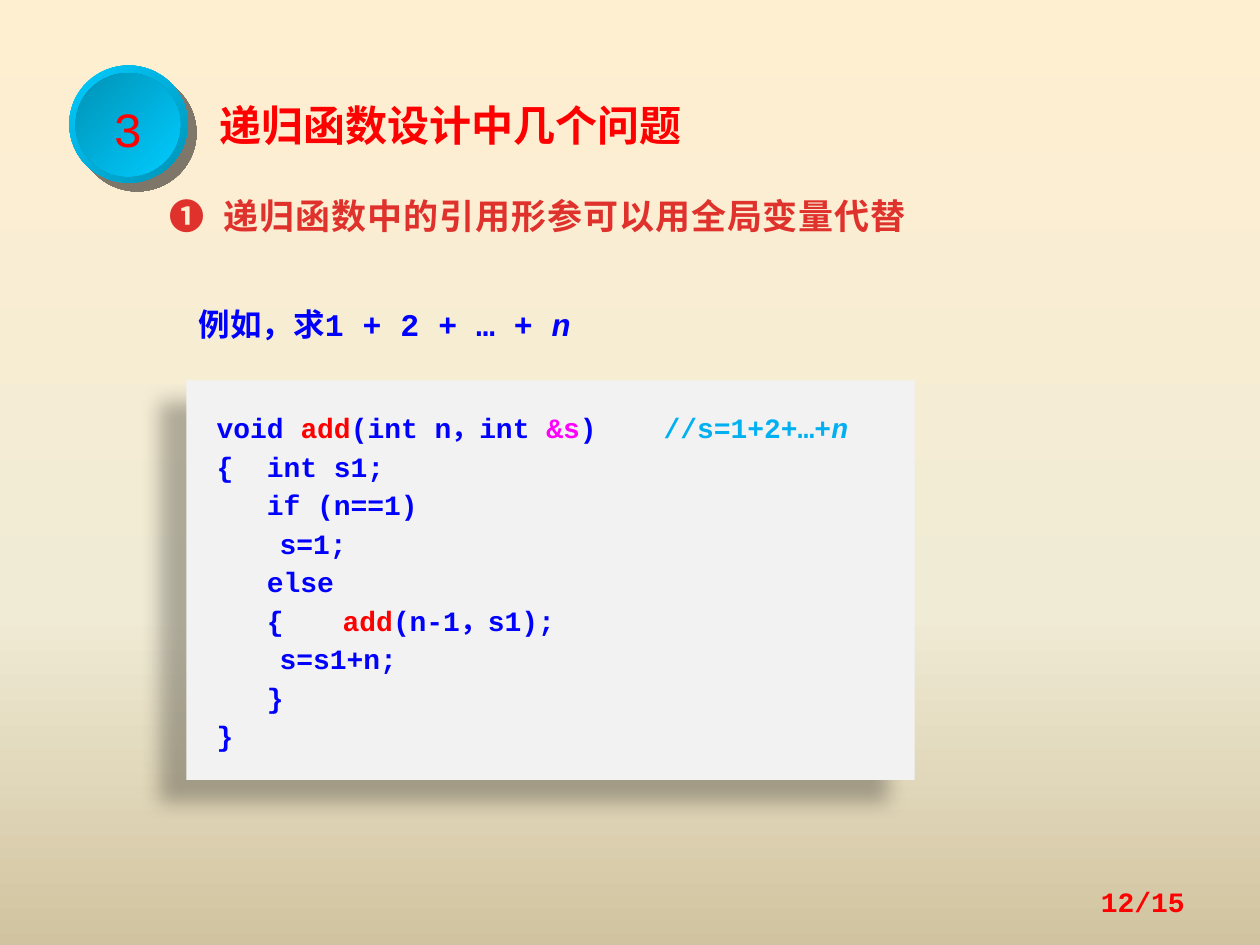
from lxml.etree import SubElement
from pptx import Presentation
from pptx.dml.color import RGBColor
from pptx.enum.shapes import MSO_SHAPE
from pptx.enum.text import MSO_ANCHOR, PP_ALIGN
from pptx.oxml.ns import qn
from pptx.util import Inches, Pt

FONT = "Courier New"
RED, BLUE, MAGENTA, CYAN = "FF0000", "0000FF", "FF00FF", "00B0F0"
LIGHT, DARK = "00CCFF", "0092B6"

CODE = [
    [("void ",), ("add", RED), ("(int n，int ",), ("&s", MAGENTA), (")    ",),
     ("//s=1+2+…+", CYAN), ("n", CYAN, True)],
    [("{  int s1;",)],
    [("   if (n==1)",)],
    [("\ts=1;",)],
    [("   else",)],
    [("   {\t",), ("add", RED), ("(n-1，s1);",)],
    [("\ts=s1+n;",)],
    [("   }",)],
    [("}",)],
]


def color(value):
    return RGBColor.from_string(value)


def set_gradient(fill, element, stops, angle):
    fill.gradient()
    fill.gradient_angle = 360 - angle
    stop_list = element.find(".//" + qn("a:gsLst"))
    for stop in list(stop_list):
        stop_list.remove(stop)
    for position, value in stops:
        stop = SubElement(stop_list, qn("a:gs"), pos=str(position * 1000))
        SubElement(stop, qn("a:srgbClr"), val=value)


def add_shadow(shape, value, alpha, blur, distance, angle):
    effects = shape._element.spPr.find(qn("a:effectLst"))
    shadow = SubElement(
        effects, qn("a:outerShdw"), blurRad=str(Pt(blur)), dist=str(Pt(distance)),
        dir=str(angle * 60000), algn="ctr", rotWithShape="0")
    shadow_color = SubElement(shadow, qn("a:srgbClr"), val=value)
    SubElement(shadow_color, qn("a:alpha"), val=str(alpha * 1000))


def add_plain_shape(slide, kind, left, top, width, height):
    shape = slide.shapes.add_shape(
        kind, Inches(left), Inches(top), Inches(width), Inches(height))
    shape.shadow.inherit = False
    shape.line.fill.background()
    return shape


def write_paragraph(paragraph, runs, size, value, bold=True, spacing=1.1,
                    align=PP_ALIGN.LEFT):
    paragraph.alignment = align
    paragraph.line_spacing = spacing
    font = paragraph.font
    font.name, font.size, font.bold = FONT, Pt(size), bold
    font.color.rgb = color(value)
    for text, run_color, italic in (run + (None, None)[len(run) - 1:] for run in runs):
        run = paragraph.add_run()
        run.text = text
        if run_color or value != RED:
            run.font.color.rgb = color(run_color or value)
        if italic:
            run.font.italic = True


def add_text(slide, left, top, width, height, runs, size, value, **options):
    box = slide.shapes.add_textbox(
        Inches(left), Inches(top), Inches(width), Inches(height))
    box.text_frame.word_wrap = True
    write_paragraph(box.text_frame.paragraphs[0], runs, size, value, **options)
    return box


def add_number_badge(slide):
    rim = add_plain_shape(slide, MSO_SHAPE.OVAL, 0.55, 0.52, 0.94, 0.93)
    set_gradient(rim.fill, rim._element.spPr, [(0, LIGHT), (100, DARK)], 45)
    add_shadow(rim, "020202", 50, 0, 7.1, 45)
    face = add_plain_shape(slide, MSO_SHAPE.OVAL, 0.6, 0.58, 0.83, 0.82)
    set_gradient(face.fill, face._element.spPr, [(0, DARK), (100, LIGHT)], 45)
    frame = face.text_frame
    frame.word_wrap = False
    frame.vertical_anchor = MSO_ANCHOR.MIDDLE
    write_paragraph(frame.paragraphs[0], [("3", RED)], 28, RED, bold=False,
                    align=PP_ALIGN.CENTER)


def add_code_panel(slide):
    panel = add_plain_shape(slide, MSO_SHAPE.RECTANGLE, 1.48, 3.02, 5.78, 3.17)
    panel.fill.solid()
    panel.fill.fore_color.rgb = color("F2F2F2")
    add_shadow(panel, "000000", 28, 11.8, 19.7, 141)
    frame = panel.text_frame
    frame.word_wrap = True
    frame.vertical_anchor = MSO_ANCHOR.TOP
    frame.margin_left = Inches(0.24)
    frame.margin_top = frame.margin_bottom = Inches(0.2)
    for index, runs in enumerate(CODE):
        paragraph = frame.add_paragraph() if index else frame.paragraphs[0]
        write_paragraph(paragraph, runs, 16, BLUE, spacing=Pt(22))


def main():
    presentation = Presentation()
    presentation.slide_width = Inches(10)
    presentation.slide_height = Inches(7.5)
    slide = presentation.slides.add_slide(presentation.slide_layouts[6])
    set_gradient(slide.background.fill, slide._element,
                 [(0, "FFEFD1"), (65, "F0EBD5"), (100, "D1C39F")], 90)
    add_number_badge(slide)
    add_text(slide, 1.64, 0.7, 5.08, 0.52, [("递归函数设计中几个问题",)], 24, RED)
    heading = add_text(slide, 1.25, 1.46, 7.58, 0.45,
                       [("❶  递归函数中的引用形参可以用全局变量代替",)], 20, "E0322D")
    for run in heading.text_frame.paragraphs[0].runs:
        run._r.get_or_add_rPr().set("spc", "50")
    add_text(slide, 1.48, 2.34, 4.38, 0.41,
             [("例如，求1 + 2 + … + ",), ("n", BLUE, True)], 18, BLUE)
    add_code_panel(slide)
    page = add_text(slide, 7.17, 6.95, 2.33, 0.4, [("12/15",)], 16, RED,
                    spacing=1.0, align=PP_ALIGN.RIGHT)
    page.text_frame.vertical_anchor = MSO_ANCHOR.MIDDLE
    presentation.save("out.pptx")


if __name__ == "__main__":
    main()
